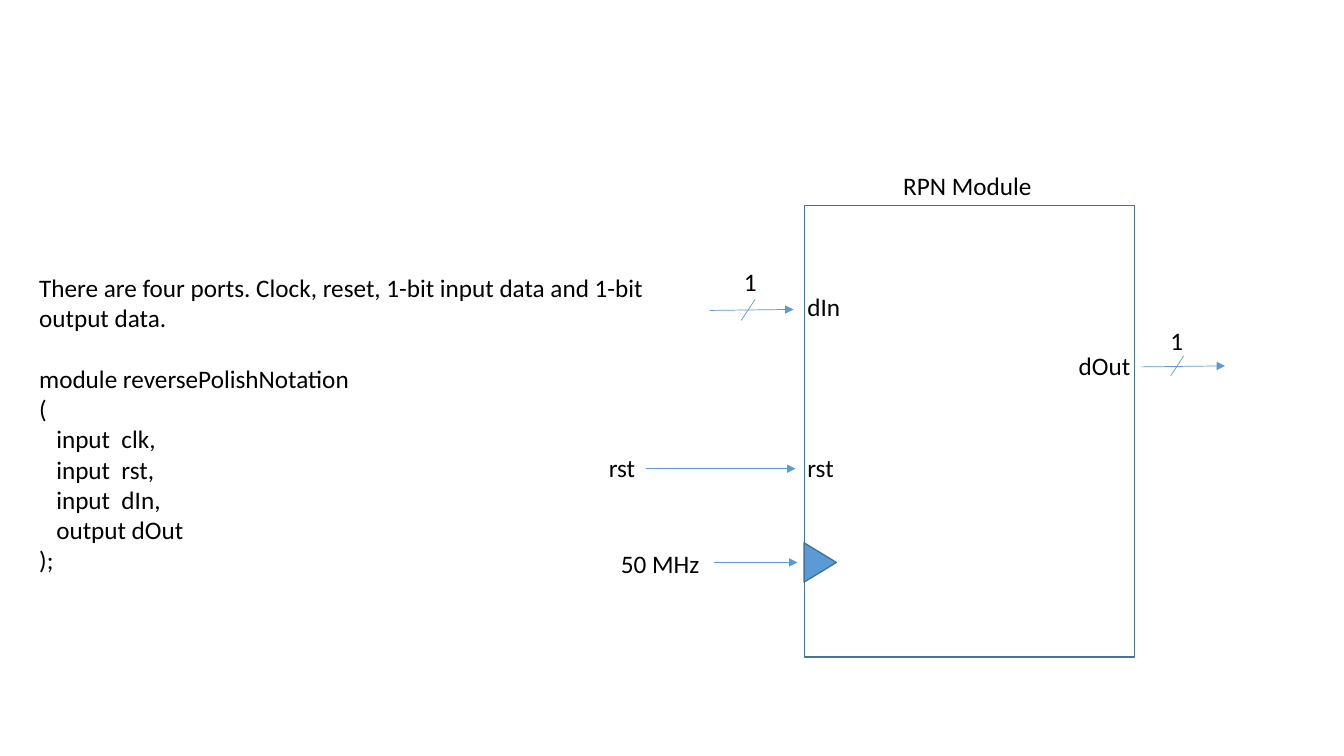
from dataclasses import dataclass

from lxml.etree import SubElement
from pptx import Presentation
from pptx.dml.color import RGBColor
from pptx.enum.shapes import MSO_CONNECTOR, MSO_SHAPE
from pptx.enum.text import MSO_AUTO_SIZE, MSO_VERTICAL_ANCHOR as Anchor
from pptx.oxml.ns import qn
from pptx.shapes.autoshape import Shape
from pptx.slide import Slide
from pptx.util import Pt

EMU_PER_PX = 9144
COLORS = {"text": "000000", "accent": "5B9BD5", "outline": "43739E"}
FONT = {"name": "Calibri", "size": Pt(18)}
LINE_HEIGHT = Pt(22)
PORT_INDENT = 17


@dataclass(frozen=True)
class Label:
    text: str
    left: int
    top: int
    width: int
    height: int = 40
    wrap: bool = False


@dataclass(frozen=True)
class Wire:
    x1: int
    y1: int
    x2: int
    y2: int
    arrow: bool = True


@dataclass(frozen=True)
class Block:
    preset: MSO_SHAPE
    left: int
    top: int
    width: int
    height: int
    fill: str | None = None
    rotation: int = 0


DESCRIPTION = Label(
    "There are four ports. Clock, reset, 1-bit input data and 1-bit output data.",
    29, 265, 667, 313, wrap=True,
)
MODULE_CODE = ["module reversePolishNotation", "("]
PORTS = ["input  clk,", "input  rst,", "input  dIn,", "output dOut"]
MODULE_END = ");"

BLOCKS = [
    Block(MSO_SHAPE.RECTANGLE, 798, 204, 327, 448),
    Block(MSO_SHAPE.ISOSCELES_TRIANGLE, 794, 542, 39, 32, "accent", 90),
]
LABELS = [
    Label("RPN Module", 886, 164, 150, wrap=True),
    Label("dIn", 791, 284, 53),
    Label("dOut", 1060, 343, 72),
    Label("rst", 791, 444, 46),
    Label("rst", 594, 444, 46),
    Label("50 MHz", 606, 539, 100, wrap=True),
    Label("1", 728, 259, 33),
    Label("1", 1151, 318, 33),
]
WIRES = [
    Wire(708, 558, 791, 558),
    Wire(641, 465, 789, 465),
    Wire(704, 308, 787, 307),
    Wire(1132, 364, 1215, 363),
    Wire(749, 297, 735, 318, arrow=False),
    Wire(1174, 353, 1161, 373, arrow=False),
]


def px(length: int) -> int:
    return length * EMU_PER_PX


def color(name: str) -> RGBColor:
    return RGBColor.from_string(COLORS[name])


def format_paragraph(paragraph) -> None:
    for name, value in FONT.items():
        setattr(paragraph.font, name, value)
    paragraph.font.color.rgb = color("text")


def add_label(slide: Slide, label: Label) -> Shape:
    box = slide.shapes.add_textbox(
        px(label.left), px(label.top), px(label.width), px(label.height)
    )
    frame = box.text_frame
    frame.text = label.text
    frame_format = {
        "word_wrap": label.wrap,
        "auto_size": MSO_AUTO_SIZE.SHAPE_TO_FIT_TEXT,
        "vertical_anchor": Anchor.TOP,
    }
    for name, value in frame_format.items():
        setattr(frame, name, value)
    format_paragraph(frame.paragraphs[0])
    return box


def add_description(slide: Slide) -> None:
    frame = add_label(slide, DESCRIPTION).text_frame
    for line in [*MODULE_CODE, *PORTS, MODULE_END]:
        paragraph = frame.add_paragraph()
        paragraph.text = line
        format_paragraph(paragraph)
        if line in PORTS:
            paragraph._p.get_or_add_pPr().set("marL", str(px(PORT_INDENT)))
    frame.paragraphs[1].space_before = LINE_HEIGHT


def add_block(slide: Slide, block: Block) -> None:
    shape = slide.shapes.add_shape(
        block.preset, px(block.left), px(block.top), px(block.width), px(block.height)
    )
    shape.shadow.inherit = False
    shape.rotation = block.rotation
    shape.line.color.rgb = color("outline")
    shape.line.width = Pt(1)
    if block.fill:
        shape.fill.solid()
        shape.fill.fore_color.rgb = color(block.fill)
    else:
        shape.fill.background()


def add_wire(slide: Slide, wire: Wire) -> None:
    connector = slide.shapes.add_connector(
        MSO_CONNECTOR.STRAIGHT, px(wire.x1), px(wire.y1), px(wire.x2), px(wire.y2)
    )
    connector.line.color.rgb = color("accent")
    connector.line.width = Pt(0.5)
    properties = connector._element.spPr
    if wire.arrow:
        SubElement(properties.find(qn("a:ln")), qn("a:tailEnd"), type="triangle")
    SubElement(properties, qn("a:effectLst"))


def main() -> None:
    presentation = Presentation()
    presentation.slide_width = px(1333)
    presentation.slide_height = px(750)
    blank_layout = presentation.slide_layouts.get_by_name("Blank")
    slide = presentation.slides.add_slide(blank_layout)
    add_description(slide)
    for block in BLOCKS:
        add_block(slide, block)
    for wire in WIRES:
        add_wire(slide, wire)
    for label in LABELS:
        add_label(slide, label)
    presentation.save("out.pptx")


if __name__ == "__main__":
    main()
